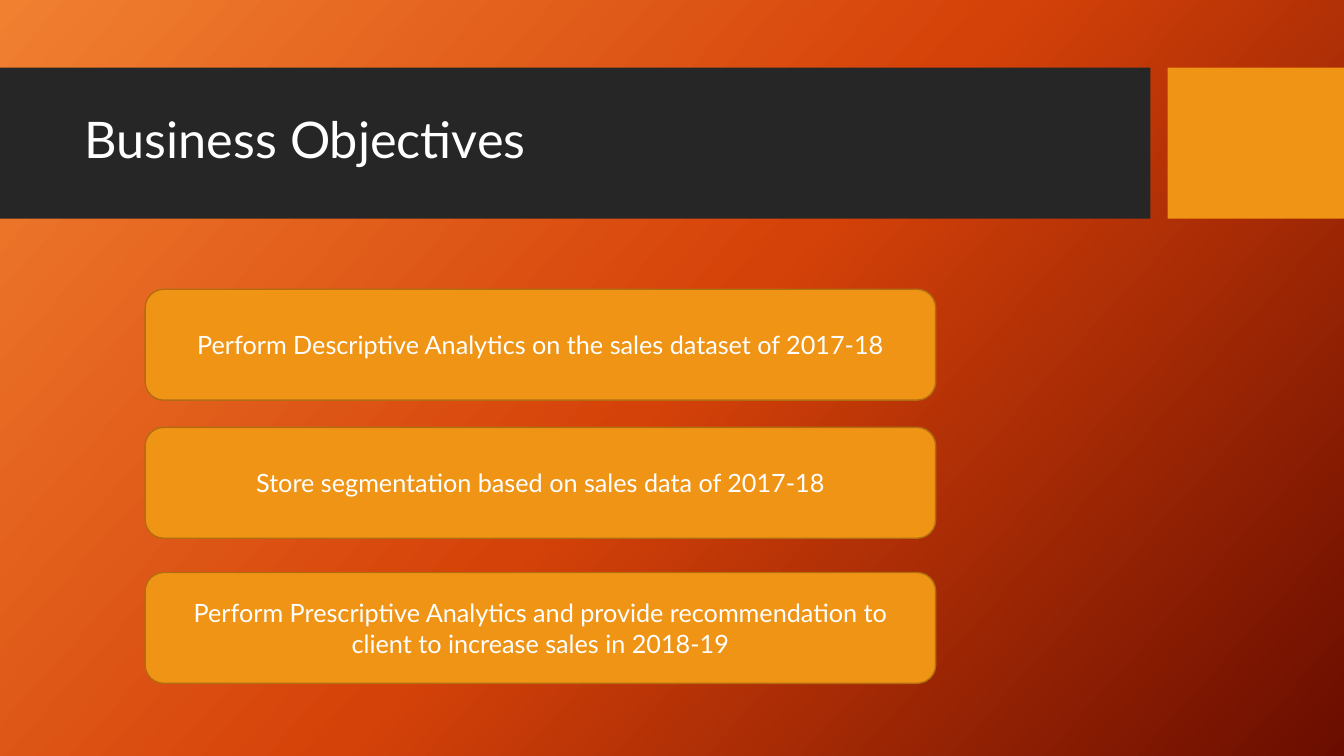
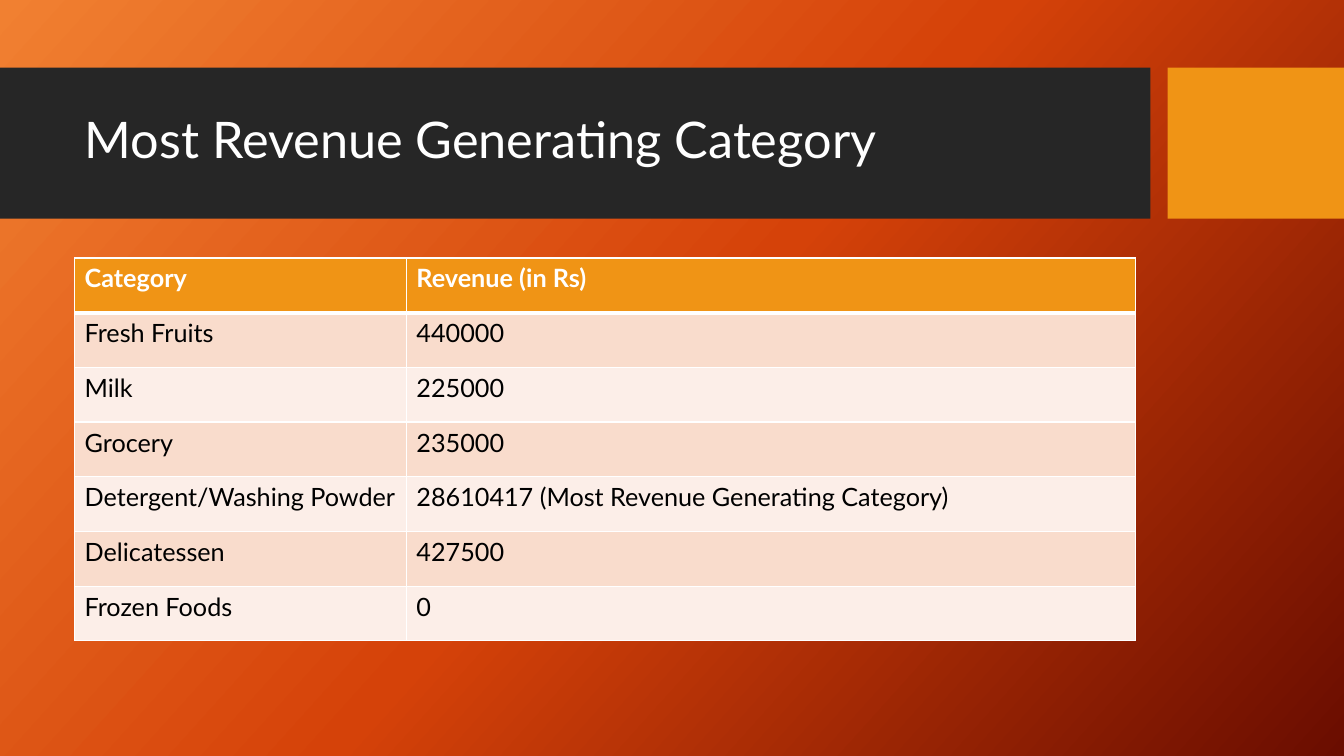
from copy import deepcopy

from lxml import etree
from pptx import Presentation
from pptx import util as u
from pptx.dml.color import RGBColor
from pptx.enum import shapes, text
from pptx.oxml.ns import qn

FONT = "Lato"
WHITE, BLACK, DARK = "FFFFFF", "000000", "262626"
ORANGE, ORANGE_EDGE = "F09415", "B26D10"
ROW_TINTS = ["F9DCCC", "FCEEE8"]
BACKGROUND = [(0, "F18031"), (0.5, "D54209"), (1, "6A0D00")]
BACKGROUND_ANGLE = 42

OBJECTIVES = [
    (2.87, "Perform Descriptive Analytics on the sales dataset of 2017-18"),
    (4.24, "Store segmentation based on sales data of 2017-18"),
    (5.68, "Perform Prescriptive Analytics and provide recommendation to "
           "client to increase sales in 2018-19"),
]
REVENUE = [
    ("Category", "Revenue (in Rs)"),
    ("Fresh Fruits", "440000"),
    ("Milk", "225000"),
    ("Grocery", "235000"),
    ("Detergent/Washing Powder", "28610417 (Most Revenue Generating Category)"),
    ("Delicatessen", "427500"),
    ("Frozen Foods", "0"),
]


def rgb(value):
    return RGBColor.from_string(value)


def box(*lengths):
    return [u.Inches(n) for n in lengths]


def style(p, size, color, bold=False, align=text.PP_ALIGN.LEFT):
    p.alignment = align
    p.font.name = FONT
    p.font.size = u.Pt(size)
    p.font.bold = bold
    p.font.color.rgb = rgb(color)


def set_background(master):
    fill = master.background.fill
    fill.gradient()
    fill.gradient_angle = 360 - BACKGROUND_ANGLE
    stops = master.element.find(".//" + qn("p:bg")).find(".//" + qn("a:gsLst"))
    while len(stops) < len(BACKGROUND):
        stops.append(deepcopy(stops[0]))
    for stop, (position, color) in zip(fill.gradient_stops, BACKGROUND):
        stop.position = position
        stop.color.rgb = rgb(color)


def add_block(slide, kind, at, fill, line=None):
    sp = slide.shapes.add_shape(kind, *box(*at))
    sp.shadow.inherit = False
    sp.fill.solid()
    sp.fill.fore_color.rgb = rgb(fill)
    if line:
        sp.line.color.rgb = rgb(line)
        sp.line.width = u.Pt(1)
    else:
        sp.line.fill.background()
    return sp


def add_titled_slide(prs, heading):
    slide = prs.slides.add_slide(prs.slide_layouts[5])
    title = slide.shapes.title
    for left, width, color in [(0, 11.41, DARK), (11.58, 1.75, ORANGE)]:
        band = add_block(slide, shapes.MSO_SHAPE.RECTANGLE,
                         (left, 0.67, width, 1.5), color)
        title.element.addprevious(band.element)
    title.left, title.top, title.width, title.height = box(0.74, 0.82, 10.51, 1.18)
    tf = title.text_frame
    tf.text = heading
    tf.word_wrap = True
    tf.auto_size = text.MSO_AUTO_SIZE.NONE
    tf.vertical_anchor = text.MSO_ANCHOR.MIDDLE
    p = tf.paragraphs[0]
    p.line_spacing = 0.9
    style(p, 36, WHITE)
    return slide


def add_objective(slide, top, label):
    sp = add_block(slide, shapes.MSO_SHAPE.ROUNDED_RECTANGLE,
                   (1.44, top, 7.84, 1.1), ORANGE, ORANGE_EDGE)
    tf = sp.text_frame
    tf.text = label
    tf.word_wrap = True
    tf.vertical_anchor = text.MSO_ANCHOR.MIDDLE
    style(tf.paragraphs[0], 18, WHITE, align=text.PP_ALIGN.CENTER)


def set_borders(cell, top, bottom):
    tc_pr = cell._tc.get_or_add_tcPr()
    widths = {"a:lnL": 1, "a:lnR": 1, "a:lnT": top, "a:lnB": bottom}
    for i, (tag, width) in enumerate(widths.items()):
        ln = etree.Element(qn(tag), w=str(u.Pt(width)))
        fill = etree.SubElement(ln, qn("a:solidFill"))
        etree.SubElement(fill, qn("a:srgbClr"), val=WHITE)
        tc_pr.insert(i, ln)


def add_revenue_table(slide, rows):
    frame = slide.shapes.add_table(len(rows), 2, *box(0.74, 2.56, 10.52, 3.8))
    table = frame.table
    for column, width in zip(table.columns, box(3.29, 7.23)):
        column.width = width
    for r, row in enumerate(rows):
        header = r == 0
        for c, value in enumerate(row):
            cell = table.cell(r, c)
            cell.text = value
            cell.fill.solid()
            cell.fill.fore_color.rgb = rgb(ORANGE if header else ROW_TINTS[(r - 1) % 2])
            style(cell.text_frame.paragraphs[0], 18,
                  WHITE if header else BLACK, bold=header)
            set_borders(cell, top=3 if r == 1 else 1, bottom=3 if header else 1)


def main():
    prs = Presentation()
    prs.slide_width, prs.slide_height = box(13.33, 7.5)
    set_background(prs.slide_master)

    slide = add_titled_slide(prs, "Business Objectives")
    for top, label in OBJECTIVES:
        add_objective(slide, top, label)

    slide = add_titled_slide(prs, "Most Revenue Generating Category")
    add_revenue_table(slide, REVENUE)

    prs.save("out.pptx")


if __name__ == "__main__":
    main()
